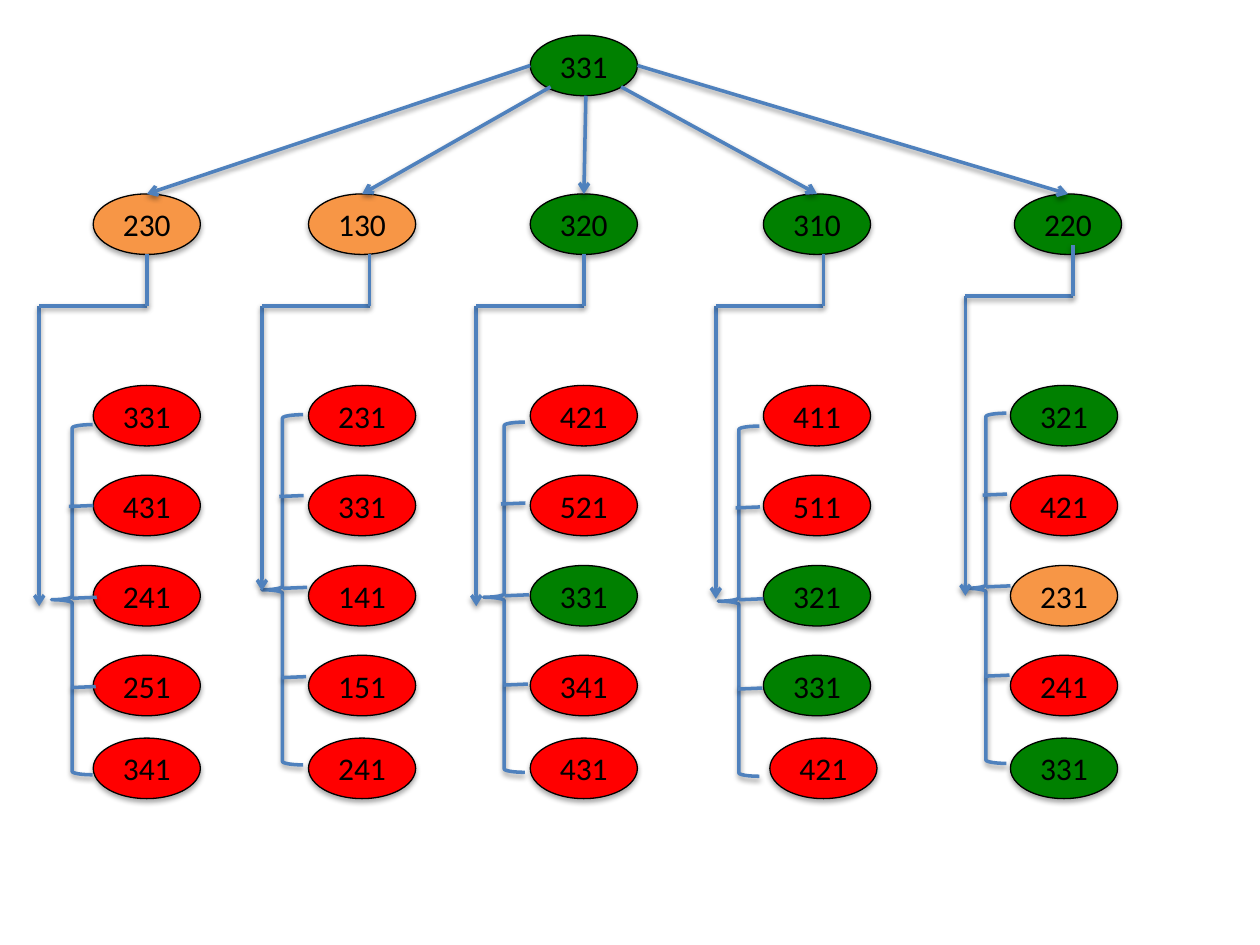
import dataclasses

import lxml.etree
import pptx
import pptx.dml.color
import pptx.enum.shapes
import pptx.enum.text
import pptx.oxml.ns
import pptx.util

Cm = pptx.util.Cm
Pt = pptx.util.Pt
qn = pptx.oxml.ns.qn


@dataclasses.dataclass(frozen=True)
class Theme:
    green: str = "008000"
    orange: str = "F79646"
    red: str = "FF0000"
    ink: str = "000000"
    link: str = "4F81BD"
    font: str = "Calibri"
    text_size: float = 18
    outline: float = 0.75
    link_width: float = 2
    node_shadow: tuple = (1.8, 35)
    link_shadow: tuple = (1.6, 38)


@dataclasses.dataclass(frozen=True)
class Branch:
    parent: tuple
    children: tuple
    parent_left: float
    child_left: float
    brace: tuple
    elbow: tuple
    elbow_tip: float
    last_shift: float = 0


THEME = Theme()
G, O, R = THEME.green, THEME.orange, THEME.red
NODE_WIDTH, NODE_HEIGHT = 2.16, 1.22
ROOT = (10.69, 0.71)
PARENT_TOP = 3.91
CHILD_TOPS = (7.77, 9.58, 11.4, 13.21, 14.88)
FAN_STARTS = ((10.69, 1.32), (11.1, 1.75), (11.81, 1.93), (12.52, 1.75), (12.85, 1.32))
BRACE_WIDTH, BRACE_HEIGHT = 0.83, 7.06
BRACE_TICKS = ((0.84, 1.63), (0.91, 3.48), (0.89, 5.28))
TICK_LENGTH = 0.49
ELBOW_WIDTH, ELBOW_RISE = 2.17, 1.04

BRANCHES = (
    Branch(("230", O), (("331", R), ("431", R), ("241", R), ("251", R), ("341", R)),
           1.88, 1.88, (1.04, 8.56), (0.79, 6.17), 12.22),
    Branch(("130", O), (("231", R), ("331", R), ("141", R), ("151", R), ("241", R)),
           6.22, 6.22, (5.28, 8.36), (5.28, 6.17), 11.91),
    Branch(("320", G), (("421", R), ("521", R), ("331", G), ("341", R), ("431", R)),
           10.69, 10.69, (9.75, 8.51), (9.6, 6.17), 12.22),
    Branch(("310", G), (("411", R), ("511", R), ("321", G), ("331", G), ("421", R)),
           15.39, 15.39, (14.48, 8.59), (14.43, 6.17), 12.07, 0.13),
    Branch(("220", G), (("321", G), ("421", R), ("231", O), ("241", R), ("331", G)),
           20.45, 20.37, (19.46, 8.33), (19.46, 5.97), 12.01),
)


def color(value):
    return pptx.dml.color.RGBColor.from_string(value)


def add_shadow(shape, distance, opacity):
    properties = shape._element.spPr
    effects = properties.find(qn("a:effectLst"))
    if effects is None:
        effects = lxml.etree.SubElement(properties, qn("a:effectLst"))
    shadow = lxml.etree.SubElement(
        effects, qn("a:outerShdw"), blurRad=str(Pt(3.1)), dist=str(Pt(distance)),
        dir="5400000", rotWithShape="0")
    shade = lxml.etree.SubElement(shadow, qn("a:srgbClr"), val=THEME.ink)
    lxml.etree.SubElement(shade, qn("a:alpha"), val=str(opacity * 1000))


def style_line(shape, value, width):
    shape.line.color.rgb = color(value)
    shape.line.width = Pt(width)


def add_node(slide, label, fill, left, top):
    node = slide.shapes.add_shape(
        pptx.enum.shapes.MSO_SHAPE.OVAL, Cm(left), Cm(top), Cm(NODE_WIDTH), Cm(NODE_HEIGHT))
    node.shadow.inherit = False
    node.fill.solid()
    node.fill.fore_color.rgb = color(fill)
    style_line(node, THEME.ink, THEME.outline)
    add_shadow(node, *THEME.node_shadow)
    frame = node.text_frame
    frame.margin_left = frame.margin_right = 0
    frame.vertical_anchor = pptx.enum.text.MSO_ANCHOR.MIDDLE
    paragraph = frame.paragraphs[0]
    paragraph.text = label
    paragraph.alignment = pptx.enum.text.PP_ALIGN.CENTER
    paragraph.font.name = THEME.font
    paragraph.font.size = Pt(THEME.text_size)
    paragraph.font.color.rgb = color(THEME.ink)


def add_link(slide, start, end, arrow=False):
    link = slide.shapes.add_connector(
        pptx.enum.shapes.MSO_CONNECTOR.STRAIGHT, *(Cm(value) for value in (*start, *end)))
    style_line(link, THEME.link, THEME.link_width)
    if arrow:
        line = link._element.spPr.find(qn("a:ln"))
        lxml.etree.SubElement(line, qn("a:tailEnd"), type="arrow")
    add_shadow(link, *THEME.link_shadow)


def add_brace(slide, left, top):
    brace = slide.shapes.add_shape(
        pptx.enum.shapes.MSO_SHAPE.LEFT_BRACE, Cm(left), Cm(top), Cm(BRACE_WIDTH), Cm(BRACE_HEIGHT))
    brace.shadow.inherit = False
    brace.fill.background()
    style_line(brace, THEME.link, THEME.link_width)
    add_shadow(brace, *THEME.link_shadow)
    for across, down in BRACE_TICKS:
        add_link(slide, (left + across, top + down),
                 (left + across - TICK_LENGTH, top + down + 0.02))


def add_elbow(slide, left, turn, tip):
    right = left + ELBOW_WIDTH
    add_link(slide, (left, turn), (left, tip), arrow=True)
    add_link(slide, (left, turn), (right, turn))
    add_link(slide, (right, turn), (right, turn - ELBOW_RISE))


def add_branch(slide, branch, fan_start):
    add_node(slide, *branch.parent, branch.parent_left, PARENT_TOP)
    shifts = (0, 0, 0, 0, branch.last_shift)
    for child, top, shift in zip(branch.children, CHILD_TOPS, shifts):
        add_node(slide, *child, branch.child_left + shift, top)
    add_link(slide, fan_start, (branch.parent_left + NODE_WIDTH / 2, PARENT_TOP), arrow=True)
    add_brace(slide, *branch.brace)
    add_elbow(slide, *branch.elbow, branch.elbow_tip)


def main():
    presentation = pptx.Presentation()
    presentation.slide_width = Cm(25.4)
    presentation.slide_height = Cm(19.05)
    slide = presentation.slides.add_slide(presentation.slide_layouts[6])
    add_node(slide, "331", THEME.green, *ROOT)
    for branch, fan_start in zip(BRANCHES, FAN_STARTS):
        add_branch(slide, branch, fan_start)
    presentation.save("out.pptx")


main()
